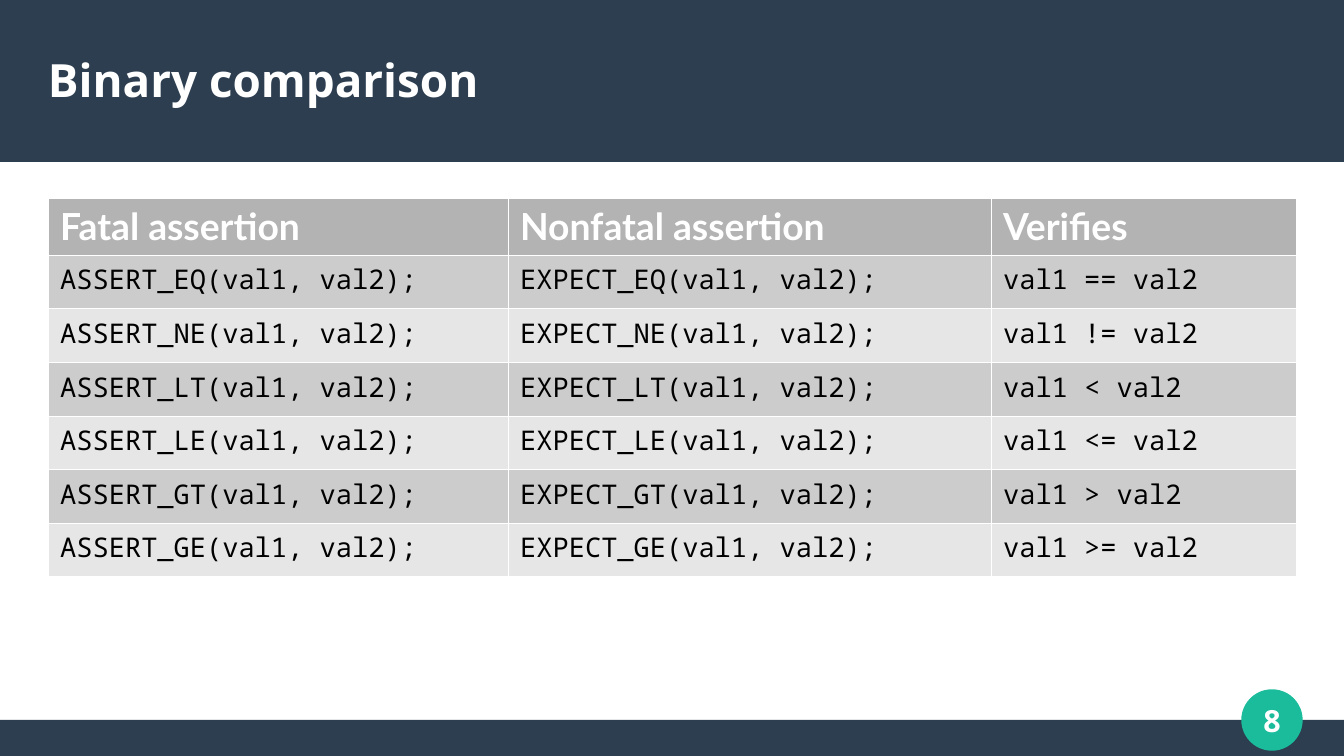
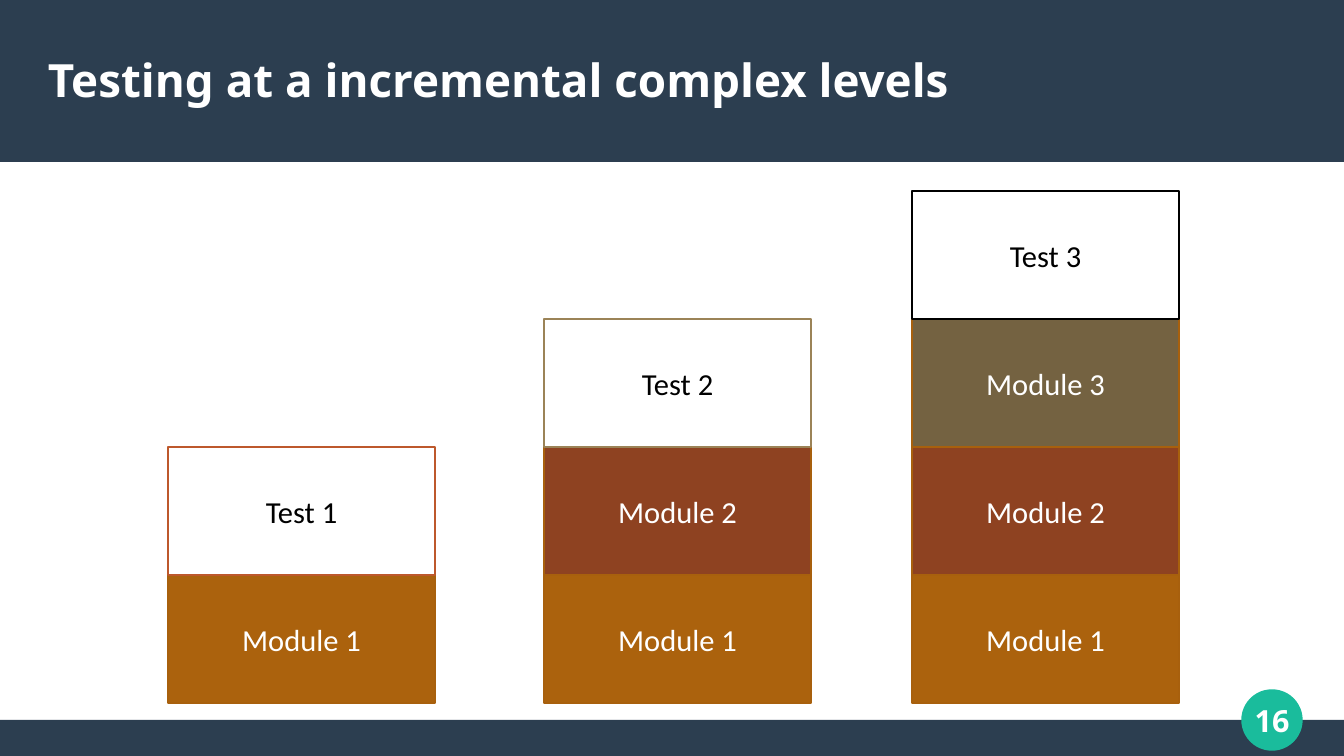
from lxml import etree
from pptx import Presentation
from pptx import util as u
from pptx.dml.color import RGBColor
from pptx.enum import shapes, text
from pptx.oxml import ns

SCALE = 914400 / 122
WIDTH, HEIGHT = 1344, 756
NAVY, GREEN, WHITE, BLACK = "2C3E50", "1ABC9C", "FFFFFF", "000000"

RECT, OVAL = shapes.MSO_SHAPE.RECTANGLE, shapes.MSO_SHAPE.OVAL
LEFT, CENTER = text.PP_ALIGN.LEFT, text.PP_ALIGN.CENTER
TITLE_FORMAT = dict(font="Noto Sans", size=27, color=WHITE, bold=True)
NUMBER_FORMAT = dict(font="Noto Sans", size=18, color=WHITE, bold=True, align=CENTER)
HEADER_FORMAT = dict(font="Lato", size=22, color=WHITE, bold=True)
CODE_FORMAT = dict(font="Noto Sans Mono", size=16, color=BLACK)

HEADINGS = ["Fatal assertion", "Nonfatal assertion", "Verifies"]
COMPARISONS = [("EQ", "=="), ("NE", "!="), ("LT", "<"),
               ("LE", "<="), ("GT", ">"), ("GE", ">=")]
COLUMN_WIDTHS = [460, 483, 305]
HEADER_FILL, ROW_FILLS = "B3B3B3", ["CCCCCC", "E6E6E6"]

MODULE_FILLS = ["AB620D", "8E4221", "746241"]
MODULE_LINE = "A8600D"
STACKS = [(168, "BD582C"), (544, "9B8357"), (912, BLACK)]
STACK_BOTTOM, BLOCK_WIDTH, BLOCK_HEIGHT = 703, 267, 128


def px(value):
    return u.Emu(round(value * SCALE))


def rgb(value):
    return RGBColor.from_string(value)


def write(frame, words, font, size, color, bold=False, align=LEFT):
    para = frame.paragraphs[0]
    para.alignment = align
    span = para.add_run()
    span.text = words
    span.font.name = font
    span.font.size = u.Pt(size)
    span.font.bold = bold
    span.font.color.rgb = rgb(color)


def plain_frame(box):
    frame = box.text_frame
    frame.margin_left = frame.margin_right = frame.margin_top = frame.margin_bottom = 0
    frame.vertical_anchor = text.MSO_ANCHOR.MIDDLE
    frame.auto_size = text.MSO_AUTO_SIZE.NONE
    frame.word_wrap = True
    return frame


def add_block(page, kind, area, fill, line=None, weight=1.25):
    block = page.shapes.add_shape(kind, *map(px, area))
    block.shadow.inherit = False
    block.fill.solid()
    block.fill.fore_color.rgb = rgb(fill)
    if line:
        block.line.color.rgb = rgb(line)
        block.line.width = u.Pt(weight)
    else:
        block.line.fill.background()
    return block


def decorate_layout(page):
    parts = [
        add_block(page, RECT, (0, 720, WIDTH, HEIGHT - 720), NAVY),
        add_block(page, RECT, (0, 0, WIDTH, 162), NAVY),
        add_block(page, OVAL, (1242, 690, 60, 60), GREEN, GREEN, 0.85),
    ]
    for part in parts:
        page.slide_layout.shapes.element.append(part.element)


def add_page(deck, title, number):
    page = deck.slides.add_slide(deck.slide_layouts[5])
    if len(deck.slides) == 1:
        decorate_layout(page)
    heading = page.shapes.title
    heading.left, heading.top, heading.width, heading.height = map(px, (48, 31, 1249, 96))
    write(plain_frame(heading), title, **TITLE_FORMAT)
    box = page.shapes.add_textbox(*map(px, (1224, 684, 96, 72)))
    write(plain_frame(box), number, **NUMBER_FORMAT)
    return page


def add_borders(table_frame, color, width):
    for properties in table_frame.element.iter(ns.qn("a:tcPr")):
        for index, edge in enumerate("LRTB"):
            line = etree.Element(ns.qn(f"a:ln{edge}"), w=str(u.Pt(width)))
            fill = etree.SubElement(line, ns.qn("a:solidFill"))
            etree.SubElement(fill, ns.qn("a:srgbClr"), val=color)
            properties.insert(index, line)


def add_comparison_table(page):
    rows = [HEADINGS] + [
        [f"ASSERT_{name}(val1, val2);", f"EXPECT_{name}(val1, val2);", f"val1 {sign} val2"]
        for name, sign in COMPARISONS
    ]
    table_frame = page.shapes.add_table(
        len(rows), len(HEADINGS), *map(px, (48, 198, sum(COLUMN_WIDTHS), 375)))
    table = table_frame.table
    for column, width in zip(table.columns, COLUMN_WIDTHS):
        column.width = px(width)
    for r, row in enumerate(rows):
        fill = ROW_FILLS[(r - 1) % 2] if r else HEADER_FILL
        for c, words in enumerate(row):
            cell = table.cell(r, c)
            cell.fill.solid()
            cell.fill.fore_color.rgb = rgb(fill)
            write(cell.text_frame, words, **(CODE_FORMAT if r else HEADER_FORMAT))
    add_borders(table_frame, WHITE, 0.06)


def add_stacks(page):
    for count, (left, test_line) in enumerate(STACKS, 1):
        blocks = [(f"Module {i}", fill, MODULE_LINE, WHITE)
                  for i, fill in enumerate(MODULE_FILLS[:count], 1)]
        blocks.append((f"Test {count}", WHITE, test_line, BLACK))
        for level, (words, fill, line, color) in enumerate(blocks, 1):
            area = (left, STACK_BOTTOM - level * BLOCK_HEIGHT, BLOCK_WIDTH, BLOCK_HEIGHT)
            block = add_block(page, RECT, area, fill, line)
            block.text_frame.vertical_anchor = text.MSO_ANCHOR.MIDDLE
            write(block.text_frame, words, font="Calibri", size=18, color=color, align=CENTER)


def main():
    deck = Presentation()
    deck.slide_width, deck.slide_height = px(WIDTH), px(HEIGHT)
    add_comparison_table(add_page(deck, "Binary comparison", "8"))
    add_stacks(add_page(deck, "Testing at a incremental complex levels", "16"))
    deck.save("out.pptx")


if __name__ == "__main__":
    main()
